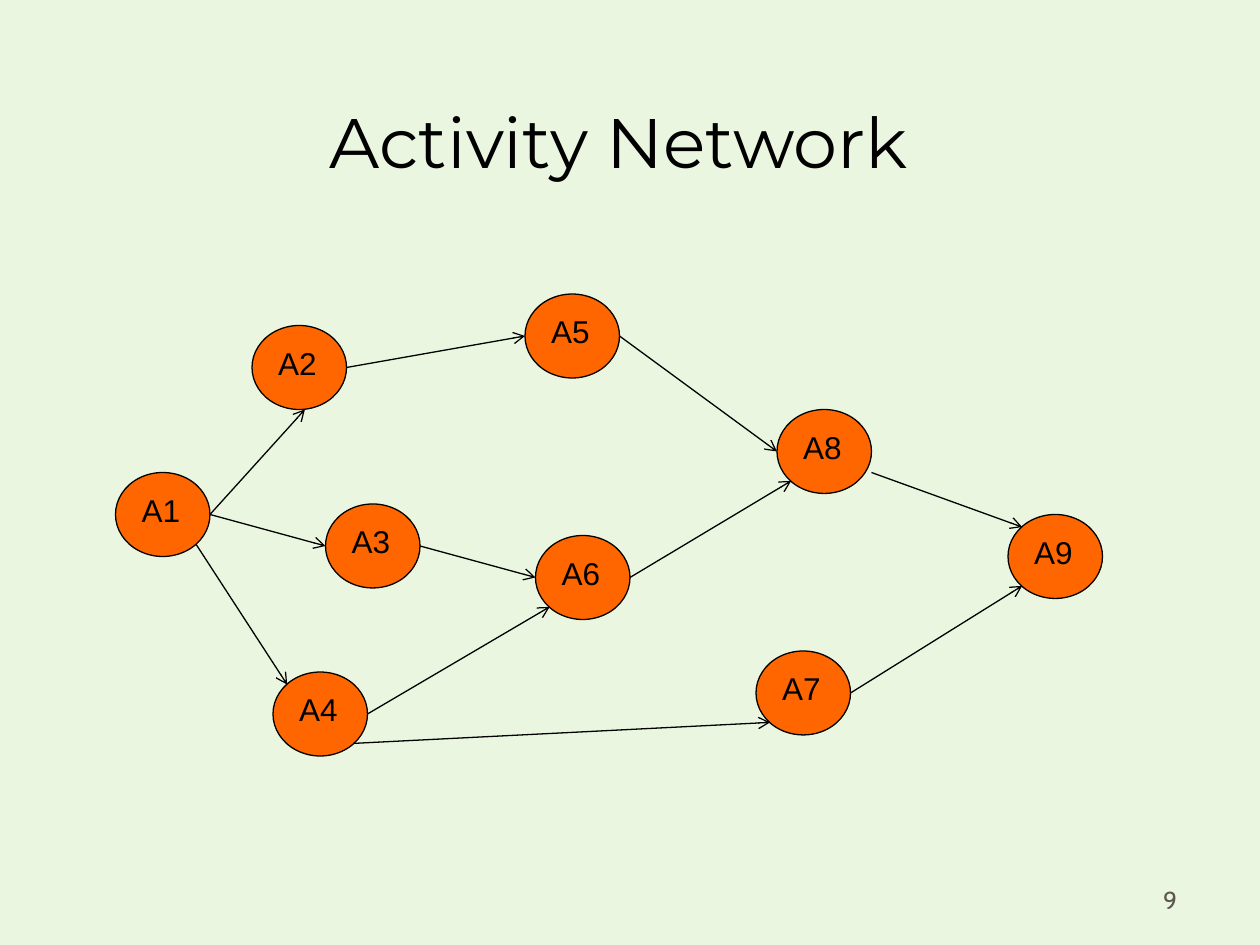
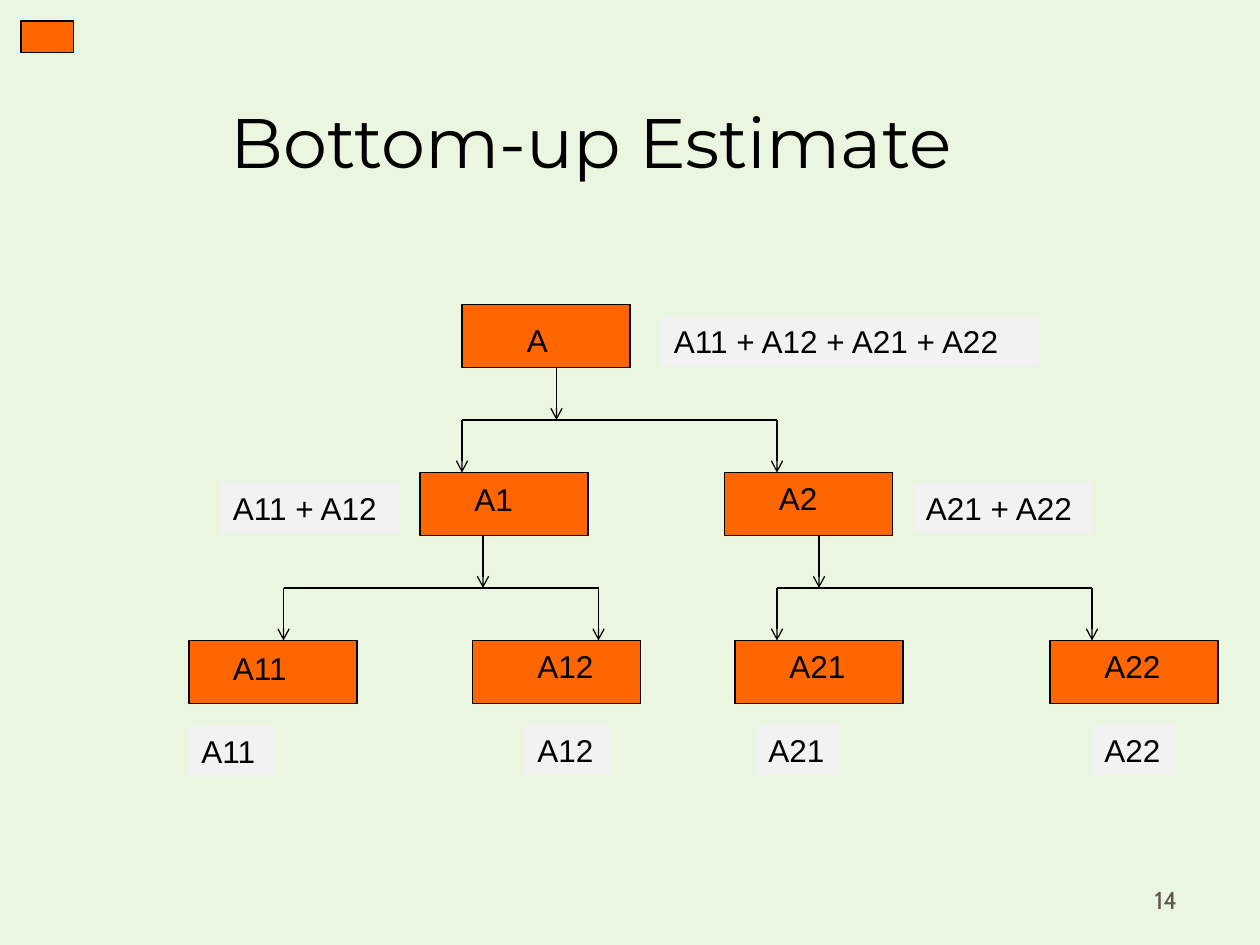
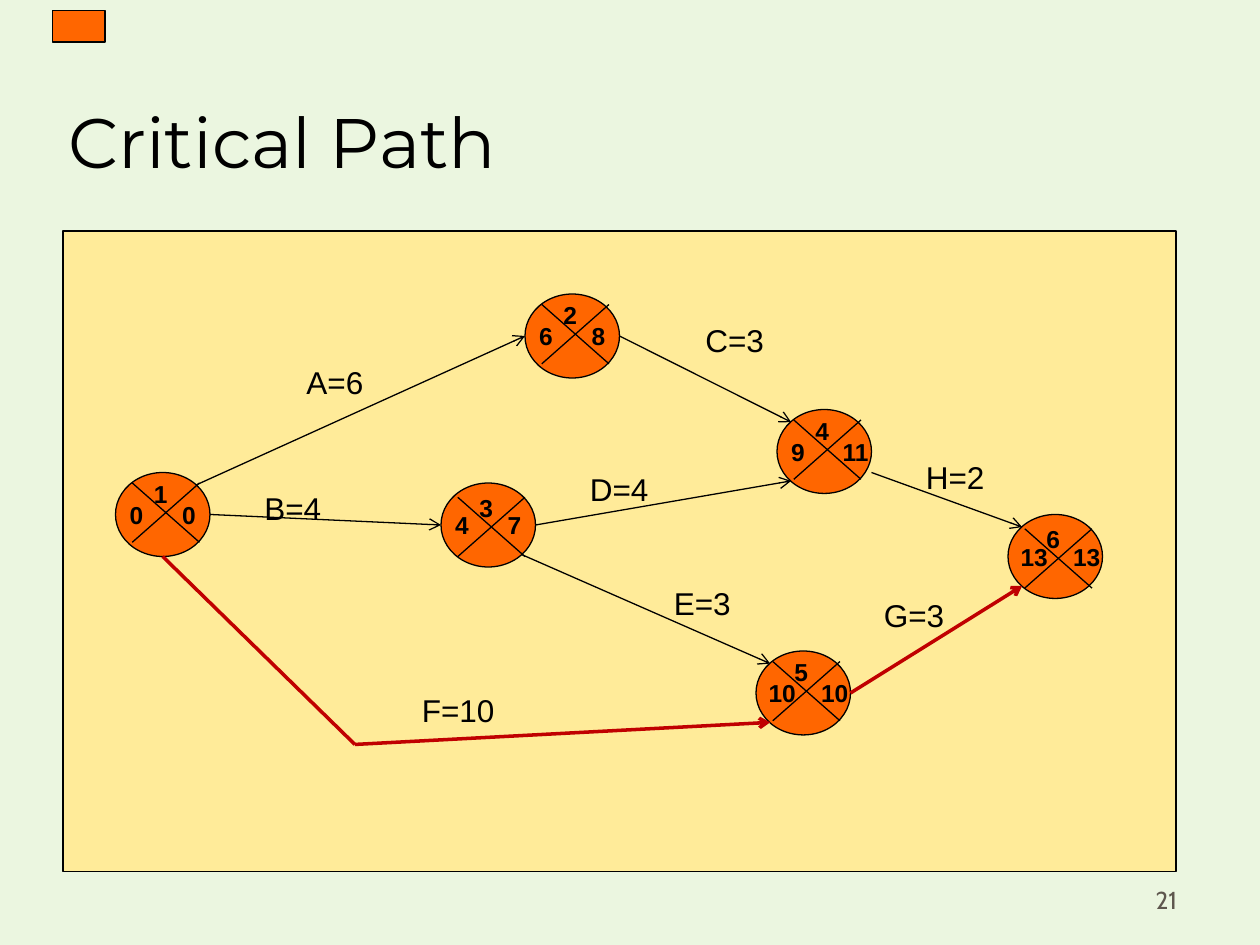
from dataclasses import dataclass

from lxml import etree
from pptx import Presentation
from pptx.dml.color import RGBColor
from pptx.enum.shapes import MSO_CONNECTOR, MSO_SHAPE
from pptx.enum.text import MSO_ANCHOR, MSO_AUTO_SIZE, PP_ALIGN
from pptx.oxml.ns import qn
from pptx.util import Cm, Pt

STRAIGHT = MSO_CONNECTOR.STRAIGHT
ELLIPSE, RECTANGLE = MSO_SHAPE.OVAL, MSO_SHAPE.RECTANGLE
TOP, BOTTOM = MSO_ANCHOR.TOP, MSO_ANCHOR.BOTTOM
LEFT, CENTER, RIGHT = PP_ALIGN.LEFT, PP_ALIGN.CENTER, PP_ALIGN.RIGHT
NO_AUTOFIT = MSO_AUTO_SIZE.NONE
TITLE_ONLY = 5

GRID_CM = 2.54 / 12  # all positions below count these grid steps
NODE_W, NODE_H = 9, 8
BOX_W, BOX_H = 16, 6
LABEL_H = 4.8
MARK_H = 4.1
DROP = 5


@dataclass(frozen=True)
class Theme:
    background: RGBColor = RGBColor(0xEB, 0xF6, 0xE0)
    accent: RGBColor = RGBColor(0xFF, 0x66, 0x00)
    panel: RGBColor = RGBColor(0xFF, 0xEB, 0x99)
    label: RGBColor = RGBColor(0xF2, 0xF2, 0xF2)
    ink: RGBColor = RGBColor(0, 0, 0)
    critical: RGBColor = RGBColor(0xC0, 0, 0)
    muted: RGBColor = RGBColor(0x5E, 0x57, 0x4E)
    thin: Pt = Pt(0.75)
    thick: Pt = Pt(2)


THEME = Theme()
TITLE_FONT = {"name": "Montserrat", "size": Pt(40), "bold": False}
TEXT_FONT = {"name": "Arial", "size": Pt(18), "bold": False}
MARK_FONT = {"name": "Arial", "size": Pt(14), "bold": True}
NUMBER_FONT = {"name": "Cabin", "size": Pt(14), "bold": False}
NO_SIDE_MARGINS = {"margin_left": 0, "margin_right": 0}

# Attachment points on a node, as fractions of its width and height
SITES = {
    "left": (0, 0.5), "right": (1, 0.5), "bottom": (0.5, 1),
    "upper left": (0.15, 0.15), "upper right": (0.85, 0.15),
    "lower left": (0.15, 0.85), "lower right": (0.85, 0.85),
    "right of bottom": (0.56, 1), "below right": (1, 0.75),
}

ACTIVITIES = {
    "A1": (11, 45), "A2": (24, 31), "A3": (31, 48), "A4": (26, 64),
    "A5": (50, 28), "A6": (51, 51), "A7": (72, 62), "A8": (74, 39),
    "A9": (96, 49),
}
DEPENDENCIES = [
    ("A1", "right", "A2", "right of bottom"),
    ("A1", "right", "A3", "left"),
    ("A1", "lower right", "A4", "upper left"),
    ("A2", "right", "A5", "left"),
    ("A3", "right", "A6", "left"),
    ("A4", "right", "A6", "lower left"),
    ("A4", "lower right", "A7", "lower left"),
    ("A5", "right", "A8", "left"),
    ("A6", "right", "A8", "lower left"),
    ("A7", "right", "A9", "lower left"),
    ("A8", "below right", "A9", "upper left"),
]

# Name: box corner, name position
WORK_ITEMS = {
    "A": ((44, 29), (49, 30)),
    "A1": ((40, 45), (44, 45.1)),
    "A2": ((69, 45), (73, 45)),
    "A11": ((18, 61), (21, 61.2)),
    "A12": ((45, 61), (50, 61)),
    "A21": ((70, 61), (74, 61)),
    "A22": ((100, 61), (104, 61)),
}
# Stem, left drop and right drop across, then the level of the bar
BRANCHES = [(53, 44, 74, 40), (46, 27, 57, 56), (78, 74, 104, 56)]
ESTIMATES = [
    ("A11 + A12 + A21 + A22", 63, 30.1, 36),
    ("A11 + A12", 21, 46, 17), ("A21 + A22", 87, 46, 17),
    ("A11", 18, 69.1, 8), ("A12", 50, 69, 8),
    ("A21", 72, 69, 8), ("A22", 104, 69, 8),
]

# Event: corner, earliest time, latest time, shift of cross and number
EVENTS = {
    "1": ((11, 45), "0", "0", 0),
    "2": ((50, 28), "6", "8", 0),
    "3": ((42, 46), "4", "7", 0.36),
    "4": ((74, 39), "9", "11", 0),
    "5": ((72, 62), "10", "10", 0),
    "6": ((96, 49), "13", "13", 0.36),
}
PLAIN_STEPS = [
    ("1", "upper right", "2", "left"),
    ("1", "right", "3", "left"),
    ("2", "right", "4", "upper left"),
    ("3", "right", "4", "lower left"),
    ("3", "lower right", "5", "upper left"),
    ("4", "below right", "6", "upper left"),
]
CRITICAL_BEND = (33.8, 70.9)
DURATIONS = [
    ("A=6", 28, 34, 9), ("B=4", 24, 46, 8), ("C=3", 66, 30, 9),
    ("D=4", 55, 44.2, 9), ("E=3", 63, 55, 9), ("F=10", 39, 65.2, 13),
    ("G=3", 83, 56.2, 9), ("H=2", 87, 43, 9),
]


def grid(steps):
    return Cm(steps * GRID_CM)


def apply_format(target, values):
    for attribute, value in values.items():
        setattr(target, attribute, value)


def write(shape, text, font=TEXT_FONT, color=THEME.ink, align=LEFT,
          anchor=TOP, margins=None):
    frame = shape.text_frame
    frame.text = text
    apply_format(frame, {"word_wrap": True, "auto_size": NO_AUTOFIT,
                         "vertical_anchor": anchor, **(margins or {})})
    paragraph = frame.paragraphs[0]
    paragraph.alignment = align
    run_font = paragraph.runs[0].font
    apply_format(run_font, font)
    run_font.color.rgb = color


def add_text(slide, text, x, y, width, height=LABEL_H, **style):
    box = slide.shapes.add_textbox(*map(grid, (x, y, width, height)))
    write(box, text, **style)


def add_block(slide, kind, x, y, width, height, fill=THEME.accent,
              outlined=True):
    block = slide.shapes.add_shape(kind, *map(grid, (x, y, width, height)))
    block.shadow.inherit = False
    block.fill.solid()
    block.fill.fore_color.rgb = fill
    if outlined:
        block.line.color.rgb = THEME.ink
        block.line.width = THEME.thin
    else:
        block.line.fill.background()
    return block


def add_node(slide, corner):
    return add_block(slide, ELLIPSE, *corner, NODE_W, NODE_H)


def add_line(slide, start, end, arrow=False, color=THEME.ink,
             width=THEME.thin):
    line = slide.shapes.add_connector(STRAIGHT, *map(grid, (*start, *end)))
    line.line.color.rgb = color
    line.line.width = width
    properties = line.element.spPr
    if arrow:
        outline = properties.find(qn("a:ln"))
        etree.SubElement(outline, qn("a:tailEnd"), type="arrow")
    etree.SubElement(properties, qn("a:effectLst"))


def site_of(corner, site):
    across, down = SITES[site]
    return corner[0] + across * NODE_W, corner[1] + down * NODE_H


def add_step(slide, corners, step, **style):
    """Draw an arrow between named sites of two nodes."""
    source, exit_site, target, entry_site = step
    add_line(slide, site_of(corners[source], exit_site),
             site_of(corners[target], entry_site), arrow=True, **style)


def add_branch(slide, stem, left, right, level):
    """Split one stem into two drops below a horizontal bar."""
    add_line(slide, (left, level), (right, level))
    add_line(slide, (stem, level - DROP), (stem, level), arrow=True)
    for drop in (left, right):
        add_line(slide, (drop, level), (drop, level + DROP), arrow=True)


def add_mark(slide, text, x, y):
    add_text(slide, text, x, y, 3 + len(text), MARK_H, font=MARK_FONT,
             align=CENTER, margins=NO_SIDE_MARGINS)


def add_event_marks(slide, number, corner, earliest, latest, shift):
    """Cross the node and write its number and its two times."""
    x, y = corner
    left, right, top, bottom = x + 1.6, x + 8, y + 1 + shift, y + 6.65 + shift
    add_line(slide, (left, top), (right, bottom))
    add_line(slide, (left, bottom), (right, top))
    add_mark(slide, number, x + 2.3, y + shift)
    add_mark(slide, earliest, x, y + 2)
    add_mark(slide, latest, x + 5, y + 2)


def add_corner_tag(slide, x, y):
    add_block(slide, RECTANGLE, x, y, 5, 3)


def start_slide(prs, title, number, width=102, align=CENTER, margins=None):
    slide = prs.slides.add_slide(prs.slide_layouts[TITLE_ONLY])
    heading = slide.shapes.title
    apply_format(heading, {"left": grid(5.3), "top": grid(3),
                           "width": grid(width), "height": grid(15)})
    write(heading, title, font=TITLE_FONT, align=align, anchor=BOTTOM,
          margins=margins)
    add_text(slide, number, 88.3, 81.7, 25, 6, font=NUMBER_FONT,
             color=THEME.muted, align=RIGHT, anchor=BOTTOM)
    return slide


def build_activity_network(prs):
    slide = start_slide(prs, "Activity Network", "9",
                        margins={"margin_left": Cm(1.35)})
    for name, corner in ACTIVITIES.items():
        write(add_node(slide, corner), name)
    for dependency in DEPENDENCIES:
        add_step(slide, ACTIVITIES, dependency)


def build_estimate(prs):
    slide = start_slide(prs, "Bottom-up Estimate", "14")
    for corner, _ in WORK_ITEMS.values():
        add_block(slide, RECTANGLE, *corner, BOX_W, BOX_H)
    for branch in BRANCHES:
        add_branch(slide, *branch)
    for estimate, x, y, width in ESTIMATES:
        label = add_block(slide, RECTANGLE, x, y, width, LABEL_H,
                          fill=THEME.label, outlined=False)
        write(label, estimate)
    for name, (_, position) in WORK_ITEMS.items():
        add_text(slide, name, *position, 9 if len(name) == 3 else 7)
    add_corner_tag(slide, 2, 2)


def build_critical_path(prs):
    slide = start_slide(prs, "Critical Path", "21", width=110.6, align=LEFT)
    add_block(slide, RECTANGLE, 6, 22, 106, 61, fill=THEME.panel)
    corners = {number: event[0] for number, event in EVENTS.items()}
    for corner in corners.values():
        add_node(slide, corner)
    for step in PLAIN_STEPS:
        add_step(slide, corners, step)
    critical = {"color": THEME.critical, "width": THEME.thick}
    add_line(slide, site_of(corners["1"], "bottom"), CRITICAL_BEND, **critical)
    add_line(slide, CRITICAL_BEND, site_of(corners["5"], "lower left"),
             arrow=True, **critical)
    add_step(slide, corners, ("5", "right", "6", "lower left"), **critical)
    for duration in DURATIONS:
        add_text(slide, *duration)
    for number, event in EVENTS.items():
        add_event_marks(slide, number, *event)
    add_corner_tag(slide, 5, 1)


def main():
    prs = Presentation()
    prs.slide_width, prs.slide_height = Cm(25.4), Cm(19.05)
    backdrop = prs.slide_master.background.fill
    backdrop.solid()
    backdrop.fore_color.rgb = THEME.background
    build_activity_network(prs)
    build_estimate(prs)
    build_critical_path(prs)
    prs.save("out.pptx")


if __name__ == "__main__":
    main()
